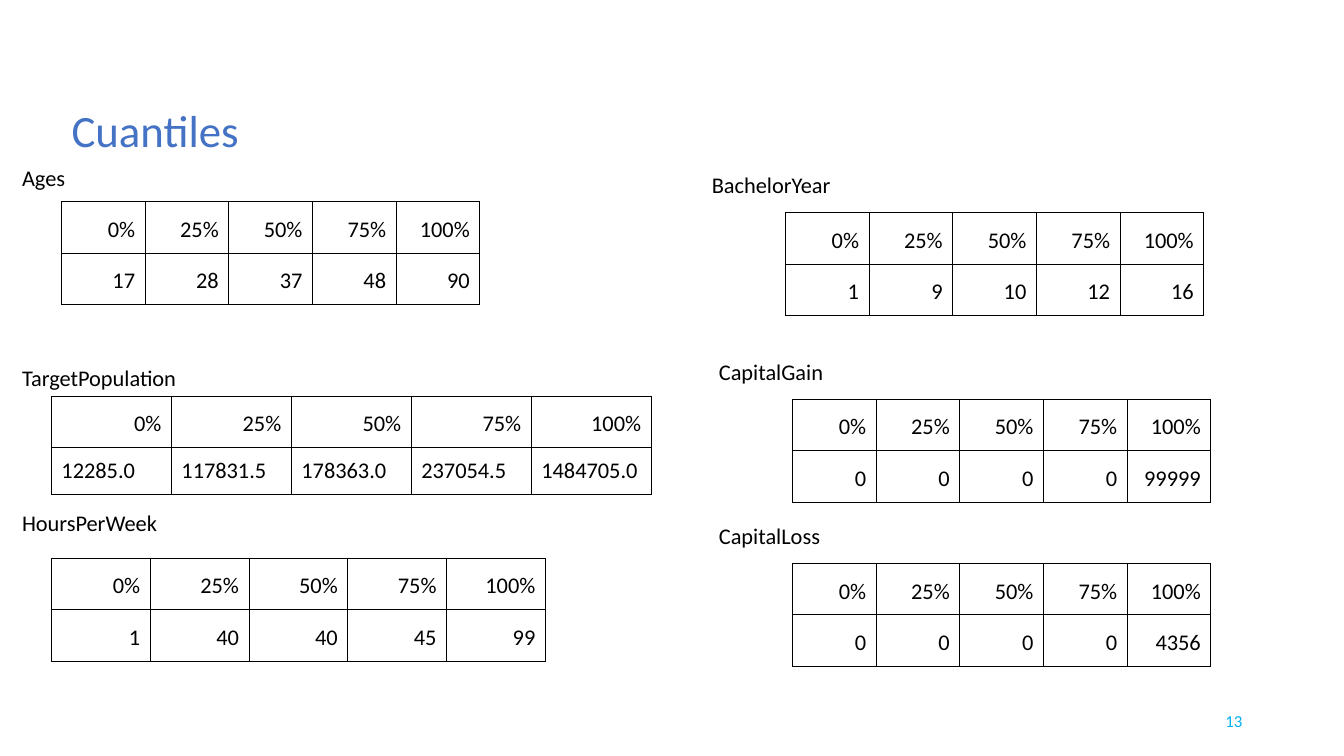
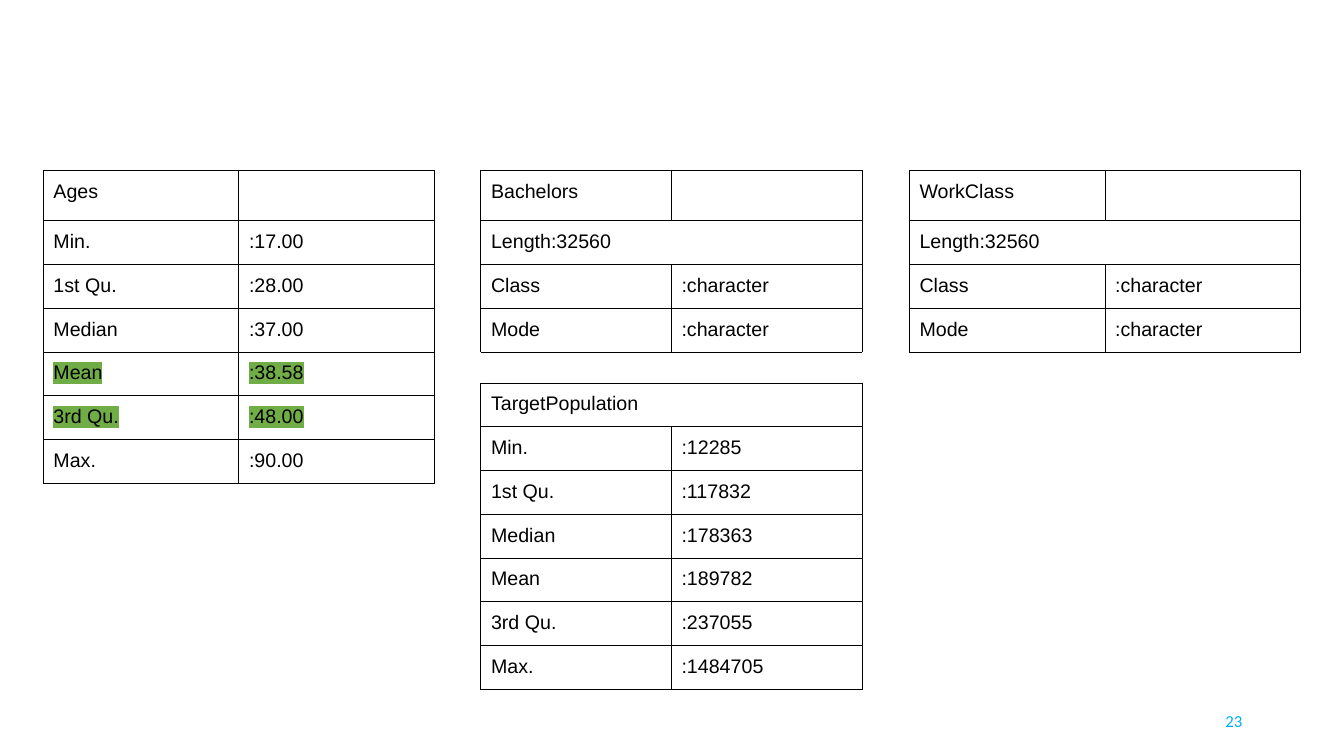
from lxml.etree import SubElement
from pptx import Presentation
from pptx.dml.color import RGBColor
from pptx.enum.text import MSO_ANCHOR, MSO_AUTO_SIZE, PP_ALIGN
from pptx.oxml import parse_xml
from pptx.oxml.ns import nsdecls, qn
from pptx.util import Inches, Pt

BLACK = RGBColor(0x00, 0x00, 0x00)
BLUE = RGBColor(0x44, 0x72, 0xC4)
CYAN = RGBColor(0x00, 0xB0, 0xF0)
GREEN = RGBColor(0x70, 0xAD, 0x47)
PLAIN = "{2D5ABB26-0587-4C30-8999-92F81FD0307C}"  # table style without grid
HEADS = ["0%", "25%", "50%", "75%", "100%"]


def write(frame, text, size=16, font="Calibri", color=BLACK,
          align=PP_ALIGN.LEFT, space=None, mark=None):
    """Put one formatted line of text in a text frame."""
    par = frame.paragraphs[0]
    par.alignment = align
    if space:
        par.line_spacing = space
    run = par.add_run()
    run.text = text
    run.font.size = Pt(size)
    run.font.name = font
    run.font.color.rgb = color
    if mark:
        light = parse_xml(f'<a:highlight {nsdecls("a")}>'
                          f'<a:srgbClr val="{mark}"/></a:highlight>')
        run.font._element.find(qn("a:latin")).addprevious(light)


def pad(frame, side=0.1, top=0.1):
    """Set the insets of a cell or text frame."""
    frame.margin_left = frame.margin_right = Inches(side)
    frame.margin_top = frame.margin_bottom = Inches(top)


def edge(cell):
    """Draw a thin black border on all four sides of a cell."""
    props = cell._tc.get_or_add_tcPr()
    for spot, side in enumerate(("lnL", "lnR", "lnT", "lnB")):
        line = parse_xml(
            f'<a:{side} {nsdecls("a")} w="{Pt(0.75)}"><a:solidFill>'
            f'<a:srgbClr val="{BLACK}"/></a:solidFill></a:{side}>')
        props.insert(spot, line)


class Deck:
    """Holds the shared style and the current slide."""

    def __init__(self):
        self.prs = Presentation()
        self.prs.slide_width = Inches(13.33)
        self.prs.slide_height = Inches(7.5)

    def page(self, number, title=None):
        layout = self.prs.slide_layouts[5 if title else 6]
        self.slide = self.prs.slides.add_slide(layout)
        if title:
            self.title(title)
        self.label(number, 9.42, 6.95, 3, 0.4, top=0.05, size=12,
                   color=CYAN, align=PP_ALIGN.RIGHT, anchor=MSO_ANCHOR.MIDDLE)

    def title(self, text):
        shape = self.slide.shapes.title
        shape.left, shape.top = Inches(0.61), Inches(1.03)
        shape.width, shape.height = Inches(5.79), Inches(0.58)
        frame = shape.text_frame
        frame.auto_size = MSO_AUTO_SIZE.NONE
        frame.vertical_anchor = MSO_ANCHOR.BOTTOM
        pad(frame, top=0.05)
        write(frame, text, size=32, color=BLUE, space=0.9)

    def label(self, text, x, y, w=3.28, h=0.47, top=0.1,
              anchor=MSO_ANCHOR.TOP, **style):
        box = self.slide.shapes.add_textbox(
            Inches(x), Inches(y), Inches(w), Inches(h))
        frame = box.text_frame
        frame.word_wrap = True
        frame.vertical_anchor = anchor
        pad(frame, top=top)
        write(frame, text, **style)

    def table(self, x, y, wide, highs, cols):
        """Add an unstyled table with equal columns."""
        shape = self.slide.shapes.add_table(
            len(highs), cols, Inches(x), Inches(y),
            Inches(wide * cols), Inches(sum(highs)))
        grid = shape.table
        grid.first_row = grid.horz_banding = False
        props = grid._tbl.tblPr
        for old in props.findall(qn("a:tableStyleId")):
            props.remove(old)
        SubElement(props, qn("a:tableStyleId")).text = PLAIN
        for col in grid.columns:
            col.width = Inches(wide)
        for row, high in zip(grid.rows, highs):
            row.height = Inches(high)
        for cell in grid.iter_cells():
            cell.fill.background()
            pad(cell)
        return grid

    def ranks(self, x, y, wide, values, name=None, last=0.51, left=False):
        """Quantile table; a name adds an open top row and left column."""
        off = 1 if name else 0
        grid = self.table(x, y, wide, [0.47] * off + [0.51, last], 5 + off)
        if name:
            head = grid.cell(0, 0)
            head.merge(grid.cell(0, 1))
            write(head.text_frame, name)
        for r, texts in enumerate((HEADS, values)):
            for c, text in enumerate(texts):
                cell = grid.cell(r + off, c + off)
                edge(cell)
                if r and left:
                    write(cell.text_frame, text)
                else:
                    write(cell.text_frame, text, align=PP_ALIGN.RIGHT,
                          space=1.15)

    def stats(self, x, y, wide, rows, first=0.48, marks=()):
        """Summary table; a row with one text spans both columns."""
        grid = self.table(x, y, wide, [first] + [0.42] * (len(rows) - 1), 2)
        for r, texts in enumerate(rows):
            for c in range(2):
                edge(grid.cell(r, c))
            if len(texts) == 1:
                grid.cell(r, 0).merge(grid.cell(r, 1))
            for c, text in enumerate(texts):
                if text:
                    write(grid.cell(r, c).text_frame, text, size=14,
                          font="Arial",
                          mark=GREEN if texts[0] in marks else None)


def main():
    deck = Deck()

    # Quantiles: left column with separate labels
    deck.page("13", "Cuantiles")
    deck.ranks(0.61, 2, 0.83, ["17", "28", "37", "48", "90"])
    deck.ranks(0.51, 3.93, 1.19,
               ["12285.0", "117831.5", "178363.0", "237054.5", "1484705.0"],
               last=0.47, left=True)
    deck.ranks(0.51, 5.54, 0.98, ["1", "40", "40", "45", "99"])
    for name, y in (("Ages", 1.53), ("TargetPopulation", 3.51),
                    ("HoursPerWeek", 4.95)):
        deck.label(name, 0.12, y)

    # Quantiles: right column with the name inside the table
    for name, x, y, values in (
            ("BachelorYear", 6.96, 1.61, ["1", "9", "10", "12", "16"]),
            ("CapitalGain", 7.03, 3.46, ["0", "0", "0", "0", "99999"]),
            ("CapitalLoss", 7.03, 5.09, ["0", "0", "0", "0", "4356"])):
        deck.ranks(x, y, 0.83, values, name=name)

    # Summaries of numbers
    deck.page("23")
    keys = ["Min.", "1st Qu.", "Median", "Mean", "3rd Qu.", "Max."]
    ages = [":17.00", ":28.00", ":37.00", ":38.58", ":48.00", ":90.00"]
    people = [":12285", ":117832", ":178363", ":189782", ":237055",
              ":1484705"]
    deck.stats(0.43, 1.69, 1.94, [("Ages", ""), *zip(keys, ages)],
               marks=("Mean", "3rd Qu."))
    deck.stats(4.77, 3.8, 1.89, [("TargetPopulation",), *zip(keys, people)],
               first=0.42)

    # Summaries of text columns
    for name, x, wide in (("Bachelors", 4.77, 1.89),
                          ("WorkClass", 9.02, 1.94)):
        deck.stats(x, 1.69, wide, [(name, ""), ("Length:32560",),
                                   ("Class", ":character"),
                                   ("Mode", ":character")])

    deck.prs.save("out.pptx")


if __name__ == "__main__":
    main()
